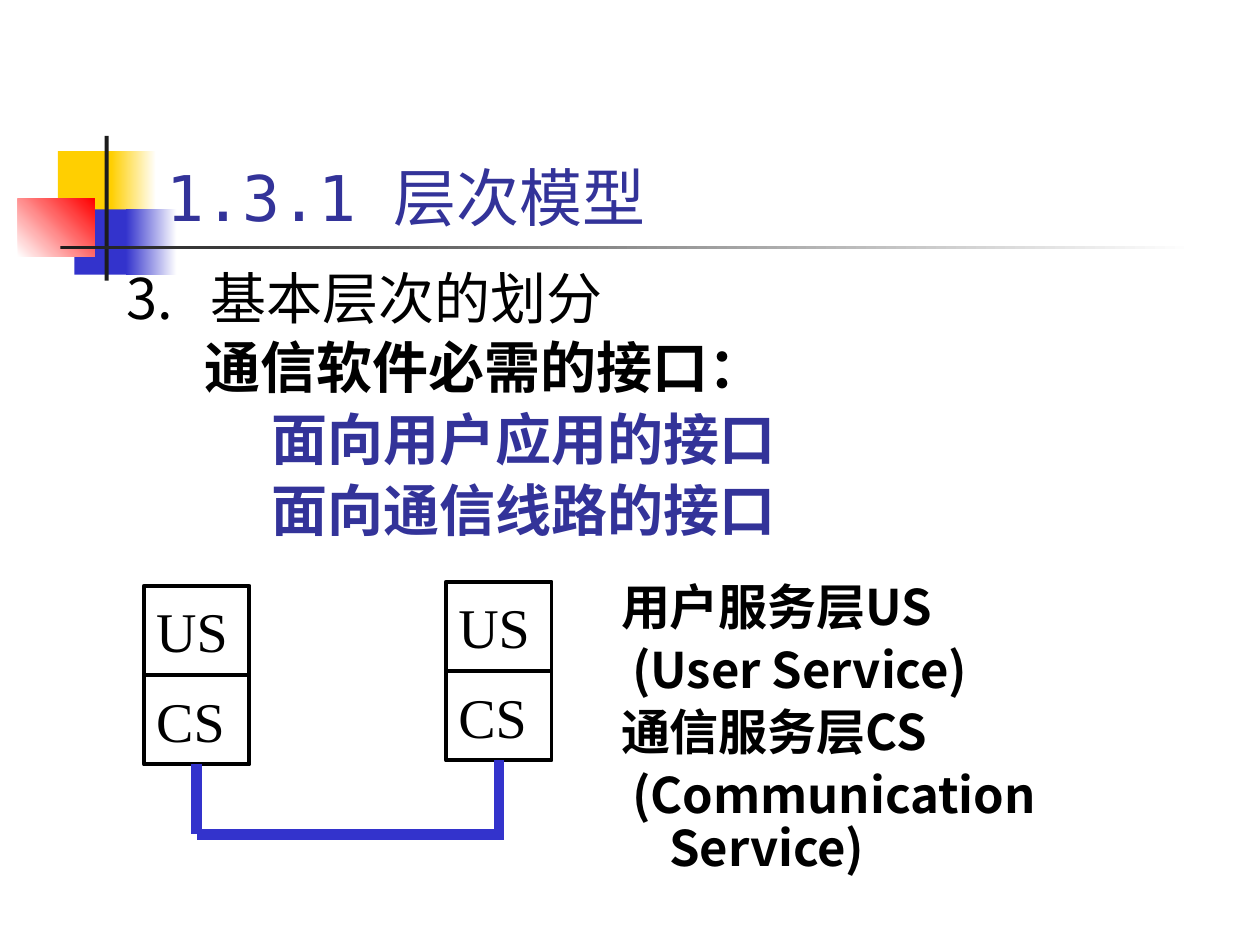
"""Build the layer model slide with its decoration, interface list and two-node diagram."""
from lxml import etree
from pptx import Presentation
from pptx.dml.color import RGBColor
from pptx.enum.shapes import MSO_CONNECTOR, MSO_SHAPE
from pptx.enum.text import MSO_ANCHOR, MSO_AUTO_SIZE, PP_ALIGN
from pptx.oxml.ns import qn
from pptx.util import Cm, Pt

RECT = MSO_SHAPE.RECTANGLE
STRAIGHT = MSO_CONNECTOR.STRAIGHT
TOP, MIDDLE, BOTTOM = MSO_ANCHOR.TOP, MSO_ANCHOR.MIDDLE, MSO_ANCHOR.BOTTOM
LEFT, JUSTIFY = PP_ALIGN.LEFT, PP_ALIGN.JUSTIFY
NO_FIT = MSO_AUTO_SIZE.NONE

BLACK, WHITE, DARK = "000000", "FFFFFF", "1C1C1C"
YELLOW, RED, BLUE, NAVY = "FFCF01", "FF0000", "3333CC", "333399"
SERIF, SANS, MONO, CJK = "Times New Roman", "Karla", "DejaVu Sans Mono", "Noto Sans CJK SC"
HANG = 0.97


def rgb(value):
    return RGBColor.from_string(value)


class SlideBuilder:
    def __init__(self, slide):
        self.slide = slide
        self.shapes = slide.shapes

    def rect(self, x, y, w, h):
        sp = self.shapes.add_shape(RECT, Cm(x), Cm(y), Cm(w), Cm(h))
        sp.shadow.inherit = False
        return sp

    def block(self, x, y, w, h, start, end=None, angle=0):
        sp = self.rect(x, y, w, h)
        sp.line.fill.background()
        if end is None:
            sp.fill.solid()
            sp.fill.fore_color.rgb = rgb(start)
            return
        sp.fill.gradient()
        sp.fill.gradient_angle = angle
        for stop, color in zip(sp.fill.gradient_stops, (start, end)):
            stop.color.rgb = rgb(color)

    def run(self, p, text, font, size, color=BLACK, bold=False):
        r = p.add_run()
        r.text = text
        r.font.name = font
        r.font.size = Pt(size)
        r.font.bold = bold
        r.font.color.rgb = rgb(color)
        ea = etree.SubElement(r.font._element, qn("a:ea"))
        ea.set("typeface", CJK)

    def paragraph(self, p, runs, size, margin, indent=0.0, color=BLACK, bold=False):
        p.alignment = LEFT
        p.line_spacing = 0.9
        p.space_before = Pt(size * 0.2)
        pPr = p._p.get_or_add_pPr()
        pPr.set("marL", str(Cm(margin)))
        pPr.set("indent", str(Cm(indent)))
        for text, font in runs:
            self.run(p, text, font, size, color, bold)

    def number(self, p, start):
        pPr = p._p.get_or_add_pPr()
        color = etree.SubElement(pPr, qn("a:buClr"))
        etree.SubElement(color, qn("a:srgbClr")).set("val", BLACK)
        etree.SubElement(pPr, qn("a:buFont")).set("typeface", CJK)
        num = etree.SubElement(pPr, qn("a:buAutoNum"))
        num.set("type", "arabicPeriod")
        num.set("startAt", str(start))

    def placeholder(self, idx, x, y, w, h, anchor):
        sp = self.slide.placeholders[idx]
        sp.left, sp.top, sp.width, sp.height = Cm(x), Cm(y), Cm(w), Cm(h)
        self.shapes._spTree.append(sp._element)
        tf = sp.text_frame
        tf.auto_size = NO_FIT
        tf.vertical_anchor = anchor
        return tf.paragraphs[0]

    def text(self, x, y, w, h, size, lines):
        tf = self.shapes.add_textbox(Cm(x), Cm(y), Cm(w), Cm(h)).text_frame
        tf.word_wrap = True
        tf.auto_size = NO_FIT
        tf.vertical_anchor = TOP
        for i, (runs, margin, indent, color) in enumerate(lines):
            p = tf.add_paragraph() if i else tf.paragraphs[0]
            self.paragraph(p, runs, size, margin, indent, color, bold=True)

    def cell(self, x, y, w, h, label):
        sp = self.rect(x, y, w, h)
        sp.fill.background()
        sp.line.color.rgb = rgb(BLACK)
        sp.line.width = Pt(2.25)
        tf = sp.text_frame
        tf.vertical_anchor = MIDDLE
        p = tf.paragraphs[0]
        p.alignment = JUSTIFY
        self.run(p, label, SERIF, 32)
        return sp

    def node(self, x, y):
        w, h = 2.13, 1.8
        self.cell(x, y, w, h, "US")
        return self.cell(x, y + h, w, h, "CS")

    def line(self, x1, y1, x2, y2):
        cxn = self.shapes.add_connector(STRAIGHT, x1, y1, x2, y2)
        cxn.line.color.rgb = rgb(BLUE)
        cxn.line.width = Pt(6)
        etree.SubElement(cxn._element.spPr, qn("a:effectLst"))
        return cxn

    def drop(self, sp, bottom):
        x = sp.left + sp.width // 2
        cxn = self.line(x, sp.top + sp.height, x, bottom)
        cxn.begin_connect(sp, 2)
        return x


def main():
    prs = Presentation()
    prs.slide_width, prs.slide_height = Cm(25.4), Cm(19.05)
    s = SlideBuilder(prs.slides.add_slide(prs.slide_layouts[1]))

    s.block(1.17, 3.05, 1.22, 1.32, YELLOW)
    s.block(2.24, 3.05, 0.91, 1.32, YELLOW, WHITE)
    s.block(1.5, 4.22, 1.17, 1.32, BLUE)
    s.block(2.54, 4.22, 1.02, 1.32, BLUE, WHITE)
    s.block(0.36, 4.01, 1.55, 1.17, WHITE, RED, 45)
    s.block(2.11, 2.74, 0.08, 2.92, DARK)
    s.block(1.22, 4.95, 22.86, 0.08, DARK, WHITE)

    p = s.placeholder(0, 3.1, 2.92, 19.02, 1.93, BOTTOM)
    p.alignment = LEFT
    s.run(p, "1.3.1 ", MONO, 36, NAVY)
    s.run(p, "层次模型", SANS, 36, NAVY)

    p = s.placeholder(1, 2.29, 5.33, 21.59, 1.47, TOP)
    s.paragraph(p, [("基本层次的划分", SANS)], 32, 1.7, -1.7)
    s.number(p, 3)

    left, right = s.node(2.9, 11.81), s.node(8.99, 11.73)
    bus = Cm(16.82)
    x1, x2 = s.drop(left, bus), s.drop(right, bus)
    s.line(x1, bus, x2 + Cm(0.1), bus)

    s.text(2.9, 6.73, 18.21, 4.24, 32, [
        ([("通信软件必需的接口：", CJK)], HANG, 0, BLACK),
        ([("面向用户应用的接口", CJK)], 2.33, 0, NAVY),
        ([("面向通信线路的接口", CJK)], 2.33, 0, NAVY),
    ])
    s.text(12.27, 11.63, 12.42, 6.15, 28, [
        (runs, HANG, -HANG, BLACK) for runs in (
            [("用户服务层", SERIF), ("US", CJK)],
            [(" (User Service)", CJK)],
            [("通信服务层", SERIF), ("CS", CJK)],
            [(" (Communication Service)", CJK)],
        )
    ])
    prs.save("out.pptx")


if __name__ == "__main__":
    main()
